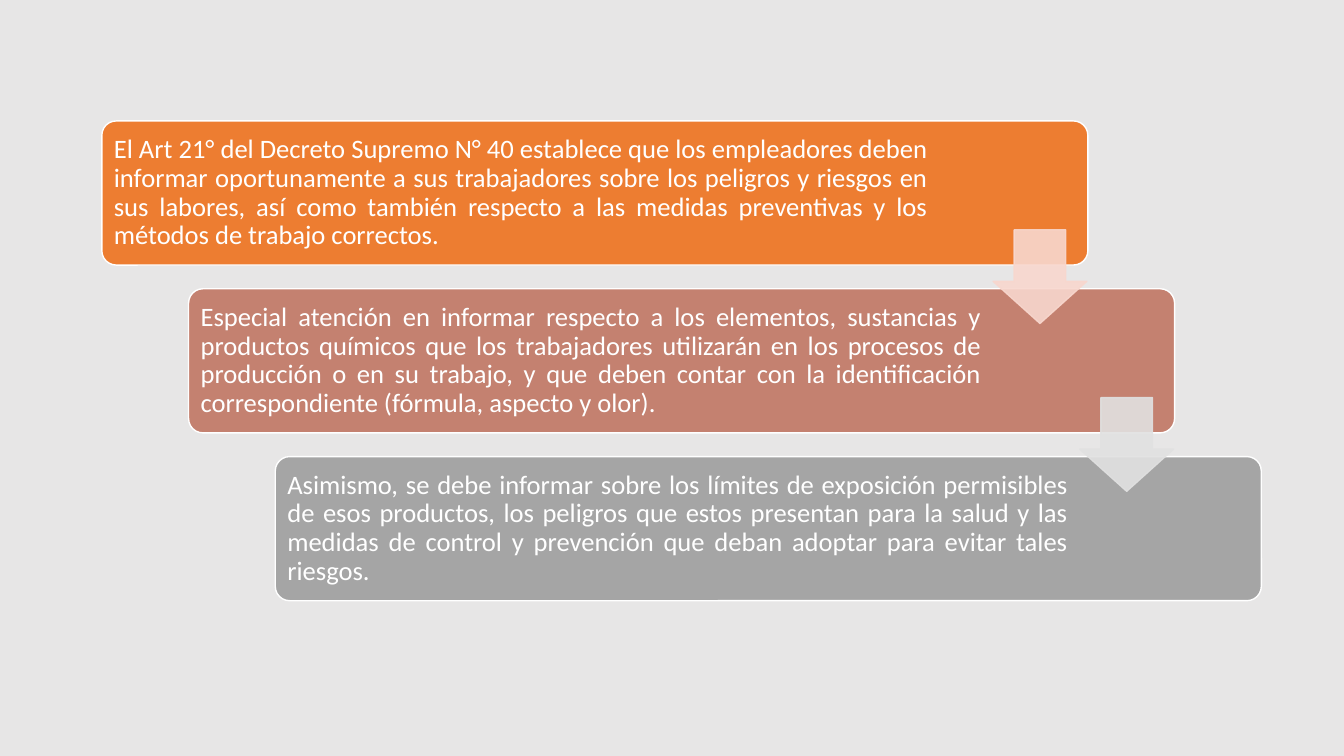
from dataclasses import dataclass

from lxml import etree
from pptx import Presentation
from pptx.dml.color import RGBColor
from pptx.enum import shapes, text
from pptx.oxml.ns import qn
from pptx.util import Inches, Pt


@dataclass(frozen=True)
class Theme:
    background: str = "E7E6E6"
    white: str = "FFFFFF"
    cards: tuple = ("ED7D31", "C48170", "A5A5A5")
    arrows: tuple = ("F8D7CE", "E1E1E1")
    arrow_opacity: int = 90
    font: str = "Calibri"
    text_size: int = 19
    line_width: int = 1


class SlideBuilder:
    def __init__(self, page, theme):
        self.page = page
        self.theme = theme
        fill = page.background.fill
        fill.solid()
        fill.fore_color.rgb = RGBColor.from_string(theme.background)

    def shape(self, kind, left, top, width, height, fill, line, adjustments):
        box = self.page.shapes.add_shape(
            kind, Inches(left), Inches(top), Inches(width), Inches(height))
        box.shadow.inherit = False
        for index, value in enumerate(adjustments):
            box.adjustments[index] = value
        box.fill.solid()
        box.fill.fore_color.rgb = RGBColor.from_string(fill)
        box.line.color.rgb = RGBColor.from_string(line)
        box.line.width = Pt(self.theme.line_width)
        return box

    def card(self, left, top, width, height, fill):
        self.shape(shapes.MSO_SHAPE.ROUNDED_RECTANGLE, left, top, width, height,
                   fill, self.theme.white, [0.1])

    def arrow(self, left, top, size, color):
        box = self.shape(shapes.MSO_SHAPE.DOWN_ARROW, left, top, size, size,
                         color, color, [0.55, 0.45])
        # Fill and outline share the same opacity
        for tone in box._element.spPr.iter(qn("a:srgbClr")):
            alpha = etree.SubElement(tone, qn("a:alpha"))
            alpha.set("val", str(self.theme.arrow_opacity * 1000))

    def label(self, left, top, width, height, words):
        box = self.page.shapes.add_textbox(
            Inches(left), Inches(top), Inches(width), Inches(height))
        frame = box.text_frame
        frame.word_wrap = True
        frame.vertical_anchor = text.MSO_ANCHOR.MIDDLE
        frame.margin_left = frame.margin_right = Inches(0.08)
        frame.margin_top = frame.margin_bottom = Inches(0.08)
        frame.text = words
        para = frame.paragraphs[0]
        para.alignment = text.PP_ALIGN.JUSTIFY
        para.line_spacing = 0.9
        span = para.runs[0]
        span.font.name = self.theme.font
        span.font.size = Pt(self.theme.text_size)
        span.font.color.rgb = RGBColor.from_string(self.theme.white)


# Card wording and the width of its text area
STEPS = [
    ("El Art 21° del Decreto Supremo N° 40 establece que los empleadores deben "
     "informar oportunamente a sus trabajadores sobre los peligros y riesgos en "
     "sus labores, así como también respecto a las medidas preventivas y los "
     "métodos de trabajo correctos.", 8.23),
    ("Especial atención en informar respecto a los elementos, sustancias y "
     "productos químicos que los trabajadores utilizarán en los procesos de "
     "producción o en su trabajo, y que deben contar con la identificación "
     "correspondiente (fórmula, aspecto y olor).", 7.9),
    ("Asimismo, se debe informar sobre los límites de exposición permisibles "
     "de esos productos, los peligros que estos presentan para la salud y las "
     "medidas de control y prevención que deban adoptar para evitar tales "
     "riesgos.", 7.9),
]

# Staircase geometry, in inches
LEFT, TOP = 1.01, 1.2
STEP_X, STEP_Y = 0.86, 1.665
CARD_WIDTH, CARD_HEIGHT = 9.78, 1.43
PADDING = 0.04
ARROW_LEFT, ARROW_TOP, ARROW_SIZE = 9.85, 2.28, 0.93


def main():
    deck = Presentation()
    deck.slide_width, deck.slide_height = Inches(13.33), Inches(7.5)
    theme = Theme()
    builder = SlideBuilder(deck.slides.add_slide(deck.slide_layouts[6]), theme)

    # Cards with their text
    for index, (words, text_width) in enumerate(STEPS):
        left, top = LEFT + index * STEP_X, TOP + index * STEP_Y
        builder.card(left, top, CARD_WIDTH, CARD_HEIGHT, theme.cards[index])
        builder.label(left + PADDING, top + PADDING, text_width,
                      CARD_HEIGHT - 2 * PADDING, words)

    # Arrows from each card to the next
    for index, color in enumerate(theme.arrows):
        builder.arrow(ARROW_LEFT + index * STEP_X, ARROW_TOP + index * STEP_Y,
                      ARROW_SIZE, color)

    deck.save("out.pptx")


if __name__ == "__main__":
    main()
